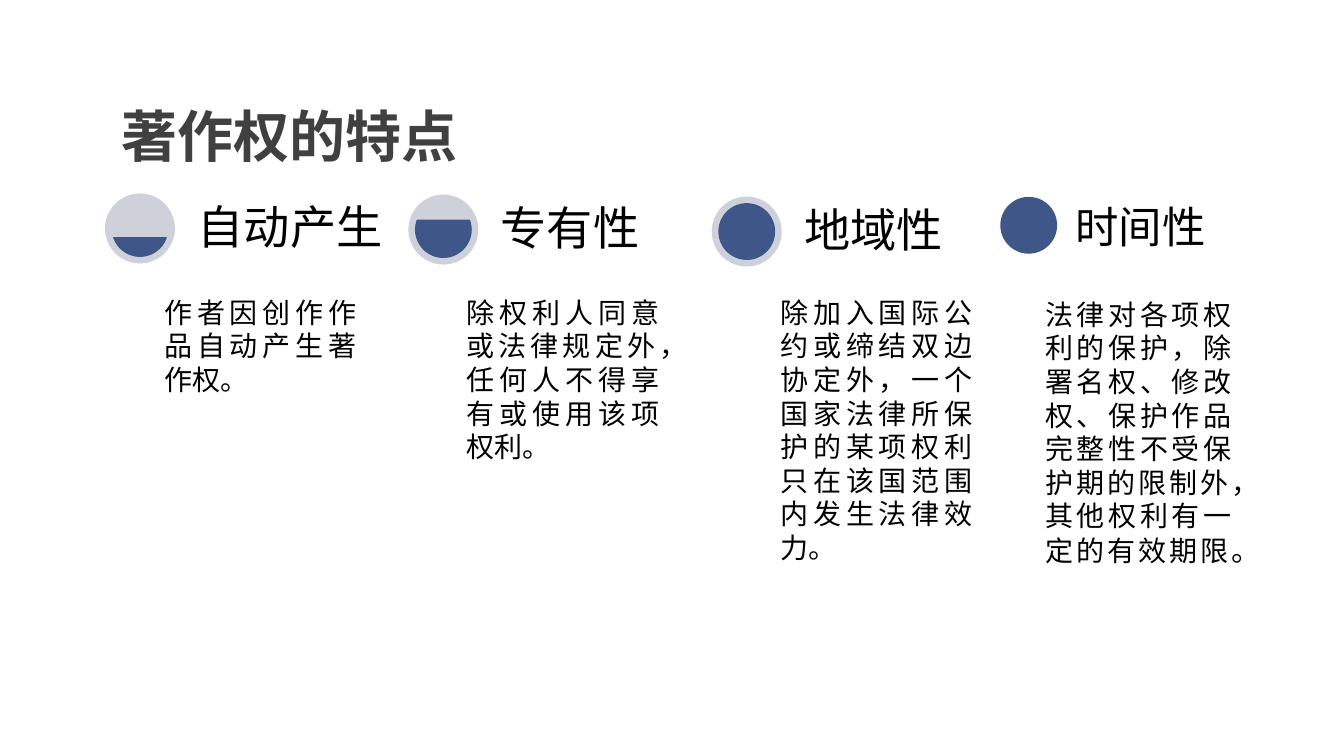
from lxml import etree
from pptx import Presentation
from pptx.dml.color import RGBColor
from pptx.enum.lang import MSO_LANGUAGE_ID
from pptx.enum.shapes import MSO_SHAPE
from pptx.enum.text import MSO_ANCHOR, PP_ALIGN
from pptx.oxml.ns import qn
from pptx.util import Pt

OVAL, CHORD = MSO_SHAPE.OVAL, MSO_SHAPE.CHORD
TOP, MID, LOW = MSO_ANCHOR.TOP, MSO_ANCHOR.MIDDLE, MSO_ANCHOR.BOTTOM
LEFT, FULL = PP_ALIGN.LEFT, PP_ALIGN.JUSTIFY
CHINESE = MSO_LANGUAGE_ID.SIMPLIFIED_CHINESE


def hue(code):
    """Turn a hex string into a colour."""
    return RGBColor.from_string(code)


class Deck:
    """Hold the style and the current slide."""

    blue, pale, dark, black = "3E5788", "CED1DA", "404040", "000000"
    sans, han = "Arial", "Noto Sans CJK SC"
    disc, core = 50, 39.6

    def __init__(self):
        """Open a wide deck with one titled slide."""
        self.prs = Presentation()
        self.prs.slide_width, self.prs.slide_height = Pt(960), Pt(540)
        self.slide = self.prs.slides.add_slide(self.prs.slide_layouts[5])

    def fill(self, box, runs, inset, anchor, align, space, color):
        """Write (text, size, font) runs into a box."""
        frame = box.text_frame
        frame.word_wrap = True
        frame.vertical_anchor = anchor
        frame.margin_left = frame.margin_right = Pt(inset[0])
        frame.margin_top = frame.margin_bottom = Pt(inset[1])
        para = frame.paragraphs[0]
        para.alignment, para.line_spacing = align, space
        for text, size, face in runs:
            run = para.add_run()
            run.text = text
            font = run.font
            font.size, font.name = Pt(size), face
            font.bold = box.is_placeholder
            font.color.rgb = hue(color)
            font.language_id = CHINESE
            east = etree.SubElement(run._r.get_or_add_rPr(), qn("a:ea"))
            east.set("typeface", self.han)

    def title(self, text, x, y, w, h):
        """Place and write the slide title."""
        box = self.slide.shapes.title
        box.left, box.top, box.width, box.height = map(Pt, (x, y, w, h))
        self.fill(box, [(text, 40, self.han)], (7.2, 3.6), MID, LEFT, 1.2, self.dark)

    def text(self, runs, x, y, w, h, inset, anchor=TOP, align=LEFT, space=1.0):
        """Add a text box."""
        box = self.slide.shapes.add_textbox(*map(Pt, (x, y, w, h)))
        self.fill(box, runs, (inset, inset), anchor, align, space, self.black)

    def round(self, kind, x, y, size, color):
        """Add a plain round shape."""
        dot = self.slide.shapes.add_shape(kind, *map(Pt, (x, y, size, size)))
        dot.shadow.inherit = False
        dot.fill.solid()
        dot.fill.fore_color.rgb = hue(color)
        dot.line.fill.background()
        return dot

    def gauge(self, x, y, span, ring):
        """Add a disc filled up to a level, with a pale ring if wanted."""
        if ring:
            self.round(OVAL, x, y, self.disc, self.pale)
        gap = (self.disc - self.core) / 2
        dot = self.round(CHORD, x + gap, y + gap, self.core, self.blue)
        dot.adjustments[0], dot.adjustments[1] = span
        dot.line.color.rgb = hue(self.blue)
        dot.line.width = Pt(1)

    def trait(self, disc, span, ring, head, name, size, body, runs):
        """Add one column: gauge, heading and body."""
        self.gauge(*disc, span, ring)
        self.text([(name, size, self.sans)], *head, 6.5, LOW, LEFT, 0.9)
        self.text(runs, *body, 4.3, TOP, FULL)


def main():
    """Build the slide."""
    deck = Deck()
    sans, han = deck.sans, deck.han
    third, most, whole = (11.68, 96.32), (204.32, 119.68), (162, 162)
    deck.title("著作权的特点", 79.9, 39.6, 828, 104.4)
    traits = [
        ((75, 138.2), third, True, (134.8, 138.2, 146.2, 50), "自动产生", 33,
         (113, 206.6, 146.2, 218),
         [("作者因创作作品自动产生著作权。", 20, sans)]),
        ((291.7, 139), most, True, (351.2, 139, 146.2, 50), "专有性", 33,
         (329, 206.6, 146.2, 214.6),
         [("除权利人同意或法律规定外，任何人不得享有或使用该项权利。", 20, han)]),
        ((508.4, 140.4), whole, True, (568, 140.4, 146.2, 50), "地域性", 33,
         (553, 206.6, 146.2, 208),
         [("除加入国际公约或缔结双边协定外，一个国家法律所保护的某项权利"
           "只在该国范围内发生法律效力。", 20, han)]),
        ((709.8, 135.9), whole, False, (761.8, 134.6, 146.2, 52.6), "时间性", 31,
         (742.3, 208, 141.8, 293.8),
         [("法律对各项权利的保护，除署名权、修改权、保护作品完整性不受"
           "保护期的限制外，其他权利有一定的有效期限", 20, han), ("。", 21, sans)]),
    ]
    for trait in traits:
        deck.trait(*trait)
    deck.prs.save("out.pptx")


if __name__ == "__main__":
    main()
